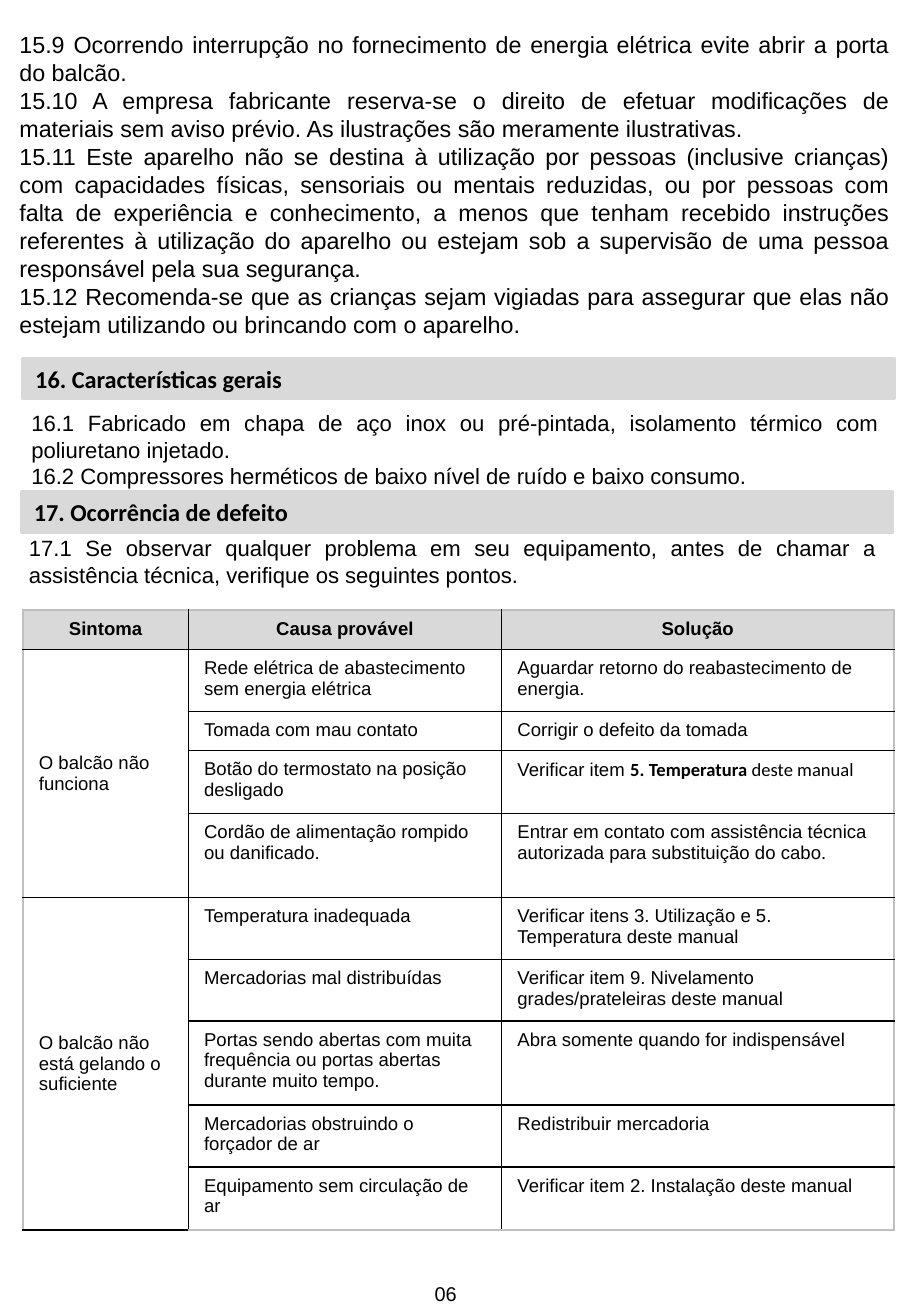
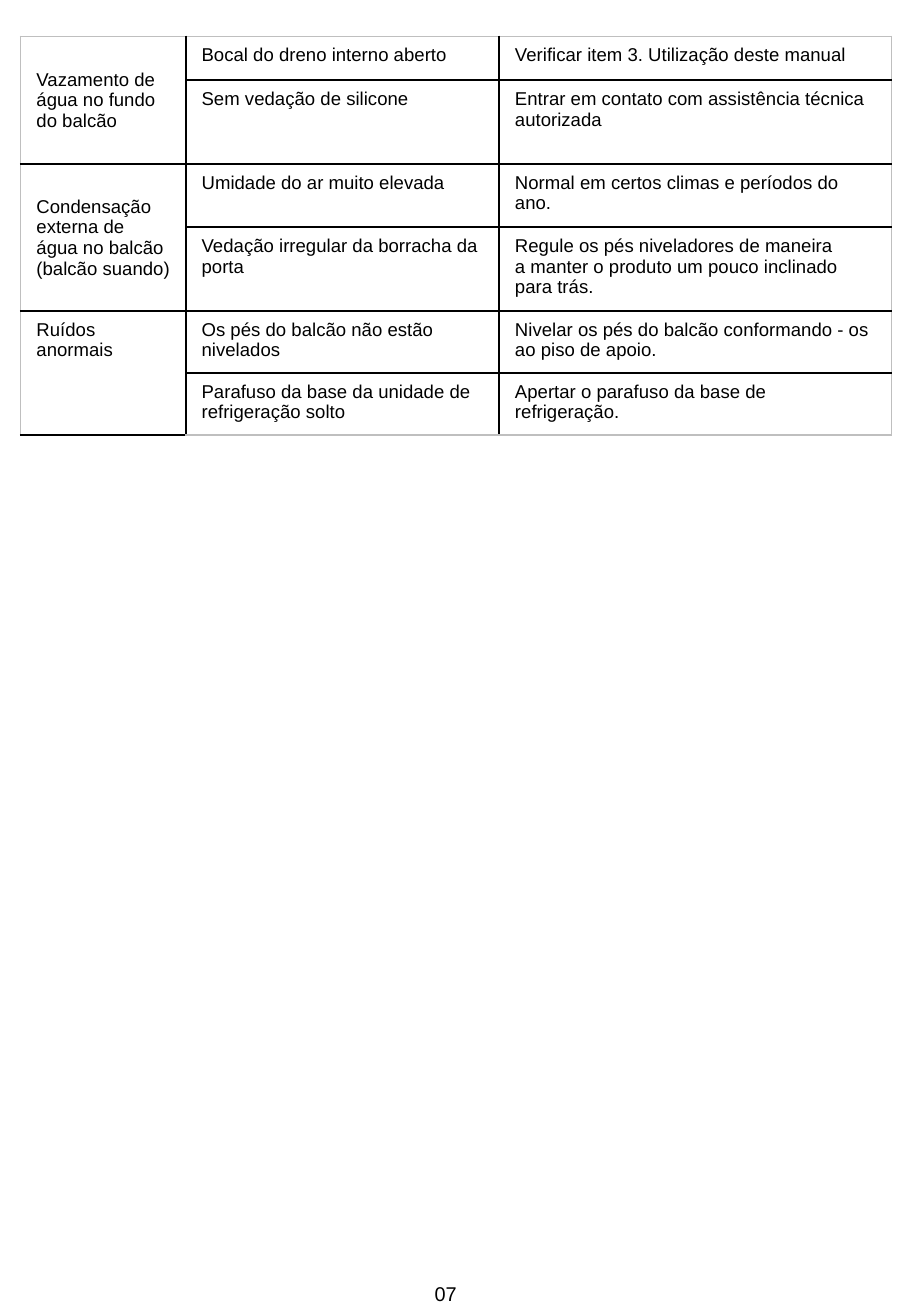
from dataclasses import dataclass

import lxml.etree
import pptx
import pptx.dml.color
import pptx.enum.shapes
import pptx.enum.text
import pptx.oxml.ns
import pptx.util

Inches = pptx.util.Inches
Pt = pptx.util.Pt
Align = pptx.enum.text.PP_ALIGN
Anchor = pptx.enum.text.MSO_ANCHOR
qn = pptx.oxml.ns.qn


@dataclass(frozen=True)
class Theme:
    ink: str = "000000"
    band: str = "D9D9D9"
    frame: str = "BFBFBF"
    text_font: str = "Arial"
    heading_font: str = "Calibri"
    heading_size: float = 14.4
    safety_size: float = 13.8
    section_size: float = 13.1
    number_size: float = 11.8
    table_size: float = 11
    border: float = 1


THEME = Theme()
COLUMNS = (1.36, 2.58, 3.23)
HEADER = ("Sintoma", "Causa provável", "Solução")

SAFETY_NOTES = (
    "15.9 Ocorrendo interrupção no fornecimento de energia elétrica evite abrir a porta do balcão.",
    "15.10 A empresa fabricante reserva-se o direito de efetuar modificações de materiais sem aviso "
    "prévio. As ilustrações são meramente ilustrativas.",
    "15.11 Este aparelho não se destina à utilização por pessoas (inclusive crianças) com "
    "capacidades físicas, sensoriais ou mentais reduzidas, ou por pessoas com falta de experiência "
    "e conhecimento, a menos que tenham recebido instruções referentes à utilização do aparelho ou "
    "estejam sob a supervisão de uma pessoa responsável pela sua segurança.",
    "15.12 Recomenda-se que as crianças sejam vigiadas para assegurar que elas não estejam "
    "utilizando ou brincando com o aparelho.",
)
FEATURES = (
    "16.1 Fabricado em chapa de aço inox ou pré-pintada, isolamento térmico com poliuretano injetado.",
    "16.2 Compressores herméticos de baixo nível de ruído e baixo consumo.",
)
DEFECT_INTRO = (
    "17.1 Se observar qualquer problema em seu equipamento, antes de chamar a assistência técnica, "
    "verifique os seguintes pontos.",
)
TEMPERATURE_ITEM = (
    ("Verificar item ", THEME.text_font, False),
    ("5. Temperatura ", THEME.heading_font, True),
    ("deste manual", THEME.heading_font, False),
)

COOLING_FAULTS = (
    ("O balcão não funciona", Anchor.MIDDLE, (
        (0.51, "Rede elétrica de abastecimento sem energia elétrica",
         "Aguardar retorno do reabastecimento de energia."),
        (0.32, "Tomada com mau contato", "Corrigir o defeito da tomada"),
        (0.52, "Botão do termostato na posição desligado", TEMPERATURE_ITEM),
        (0.69, "Cordão de alimentação rompido ou danificado.",
         "Entrar em contato com assistência técnica autorizada para substituição do cabo."),
    )),
    ("O balcão não está gelando o suficiente", Anchor.MIDDLE, (
        (0.51, "Temperatura inadequada",
         "Verificar itens 3. Utilização e 5. Temperatura deste manual"),
        (0.5, "Mercadorias mal distribuídas",
         "Verificar item 9. Nivelamento grades/prateleiras deste manual"),
        (0.69, "Portas sendo abertas com muita frequência ou portas abertas durante muito tempo.",
         "Abra somente quando for indispensável"),
        (0.51, "Mercadorias obstruindo o forçador de ar", "Redistribuir mercadoria"),
        (0.52, "Equipamento sem circulação de ar", "Verificar item 2. Instalação deste manual"),
    )),
)
WATER_AND_NOISE_FAULTS = (
    ("Vazamento de água no fundo do balcão", Anchor.MIDDLE, (
        (0.36, "Bocal do dreno interno aberto", "Verificar item 3. Utilização deste manual"),
        (0.64, "Sem vedação de silicone", "Entrar em contato com assistência técnica autorizada"),
    )),
    ("Condensação externa de água no balcão (balcão suando)", Anchor.MIDDLE, (
        (0.52, "Umidade do ar muito elevada", "Normal em certos climas e períodos do ano."),
        (0.69, "Vedação irregular da borracha da porta",
         "Regule os pés niveladores de maneira\na manter o produto um pouco inclinado\npara trás."),
    )),
    ("Ruídos anormais", Anchor.TOP, (
        (0.51, "Os pés do balcão não estão nivelados",
         "Nivelar os pés do balcão conformando - os ao piso de apoio."),
        (0.51, "Parafuso da base da unidade de refrigeração solto",
         "Apertar o parafuso da base de refrigeração."),
    )),
)


def rgb(color):
    return pptx.dml.color.RGBColor.from_string(color)


def format_run(run, size, font=THEME.text_font, bold=False):
    run.font.size = Pt(size)
    run.font.name = font
    run.font.bold = bold
    run.font.color.rgb = rgb(THEME.ink)


def format_text(frame, size, align=Align.LEFT, font=THEME.text_font, bold=False):
    for paragraph in frame.paragraphs:
        paragraph.alignment = align
        for run in paragraph.runs:
            format_run(run, size, font, bold)


def place(shape, left, top, width, height):
    shape.left, shape.top = Inches(left), Inches(top)
    shape.width, shape.height = Inches(width), Inches(height)


def add_text(slide, lines, box, size, align=Align.JUSTIFY):
    frame = slide.shapes.add_textbox(*map(Inches, box)).text_frame
    frame.word_wrap = True
    frame.text = "\n".join(lines)
    format_text(frame, size, align)


def fill_body(body, lines, box, size):
    place(body, *box)
    frame = body.text_frame
    frame.auto_size = pptx.enum.text.MSO_AUTO_SIZE.NONE
    frame.text = "\n".join(lines)
    for paragraph in frame.paragraphs:
        properties = paragraph._p.get_or_add_pPr()
        properties.set("marL", "0")
        properties.set("indent", "0")
        lxml.etree.SubElement(properties, qn("a:buNone"))
        paragraph.space_before = Pt(0)
    format_text(frame, size, Align.JUSTIFY)


def style_heading(heading, text, left, top):
    place(heading, left, top, 7.17, 0.33)
    heading.fill.solid()
    heading.fill.fore_color.rgb = rgb(THEME.band)
    heading.line.color.rgb = rgb(THEME.band)
    heading.line.width = Pt(2)
    frame = heading.text_frame
    frame.auto_size = pptx.enum.text.MSO_AUTO_SIZE.NONE
    frame.vertical_anchor = Anchor.MIDDLE
    frame.text = text
    format_text(frame, THEME.heading_size, font=THEME.heading_font, bold=True)


def set_borders(cell, outer_sides):
    properties = cell._tc.get_or_add_tcPr()
    for side in "LRTB":
        line = lxml.etree.SubElement(properties, qn(f"a:ln{side}"), w=str(Pt(THEME.border)))
        paint = lxml.etree.SubElement(line, qn("a:solidFill"))
        color = THEME.frame if side in outer_sides else THEME.ink
        lxml.etree.SubElement(paint, qn("a:srgbClr"), val=color)


def style_grid(table):
    last_row, last_column = len(table.rows) - 1, len(table.columns) - 1
    for r in range(last_row + 1):
        for c in range(last_column + 1):
            cell = table.cell(r, c)
            edges = {"L": c == 0, "R": c == last_column, "T": r == 0, "B": r == last_row}
            set_borders(cell, [side for side, outer in edges.items() if outer])
            cell.fill.background()
            cell.margin_left = cell.margin_right = Inches(0.13)
            cell.margin_top = cell.margin_bottom = Inches(0.07)
            ending = cell.text_frame.paragraphs[0]._p.get_or_add_endParaRPr()
            ending.set("sz", str(THEME.table_size * 100))


def write_cell(cell, content, align=Align.LEFT, bold=False):
    if isinstance(content, str):
        cell.text_frame.text = content
        format_text(cell.text_frame, THEME.table_size, align, bold=bold)
        return
    for text, font, emphasis in content:
        run = cell.text_frame.paragraphs[0].add_run()
        run.text = text
        format_run(run, THEME.table_size, font, emphasis)


def add_fault_table(slide, faults, left, top, header=()):
    heights = [0.32] if header else []
    heights += [row[0] for fault in faults for row in fault[2]]
    box = (left, top, sum(COLUMNS), sum(heights))
    table = slide.shapes.add_table(len(heights), len(COLUMNS), *map(Inches, box)).table
    table.first_row = table.horz_banding = False
    for column, width in zip(table.columns, COLUMNS):
        column.width = Inches(width)
    for row, height in zip(table.rows, heights):
        row.height = Inches(height)
    style_grid(table)
    for c, label in enumerate(header):
        cell = table.cell(0, c)
        cell.fill.solid()
        cell.fill.fore_color.rgb = rgb(THEME.band)
        write_cell(cell, label, Align.CENTER, bold=True)
    r = 1 if header else 0
    for symptom, anchor, causes in faults:
        symptom_cell = table.cell(r, 0)
        symptom_cell.merge(table.cell(r + len(causes) - 1, 0))
        symptom_cell.vertical_anchor = anchor
        write_cell(symptom_cell, symptom)
        for _, cause, solution in causes:
            write_cell(table.cell(r, 1), cause)
            write_cell(table.cell(r, 2), solution)
            r += 1


def add_page_number(slide, number):
    add_text(slide, [number], (3.48, 10.5, 0.54, 0.3), THEME.number_size, Align.LEFT)


def build_features_page(deck):
    slide = deck.slides.add_slide(deck.slide_layouts[1])
    style_heading(slide.shapes.title, "16. Características gerais", 0.19, 2.95)
    fill_body(slide.placeholders[1], SAFETY_NOTES, (0.06, 0.2, 7.36, 2.65), THEME.safety_size)
    add_text(slide, FEATURES, (0.16, 3.32, 7.17, 0.75), THEME.section_size)
    defect_heading = slide.shapes.add_shape(
        pptx.enum.shapes.MSO_SHAPE.RECTANGLE, 0, 0, Inches(1), Inches(1))
    defect_heading.shadow.inherit = False
    style_heading(defect_heading, "17. Ocorrência de defeito", 0.18, 4.05)
    add_text(slide, DEFECT_INTRO, (0.14, 4.35, 7.17, 0.54), THEME.section_size)
    add_fault_table(slide, COOLING_FAULTS, 0.19, 5.02, HEADER)
    add_page_number(slide, "06")


def build_faults_page(deck):
    slide = deck.slides.add_slide(deck.slide_layouts[6])
    add_fault_table(slide, WATER_AND_NOISE_FAULTS, 0.17, 0.3)
    add_page_number(slide, "07")


def main():
    deck = pptx.Presentation()
    deck.slide_width, deck.slide_height = Inches(7.5), Inches(10.83)
    build_features_page(deck)
    build_faults_page(deck)
    deck.save("out.pptx")


if __name__ == "__main__":
    main()
